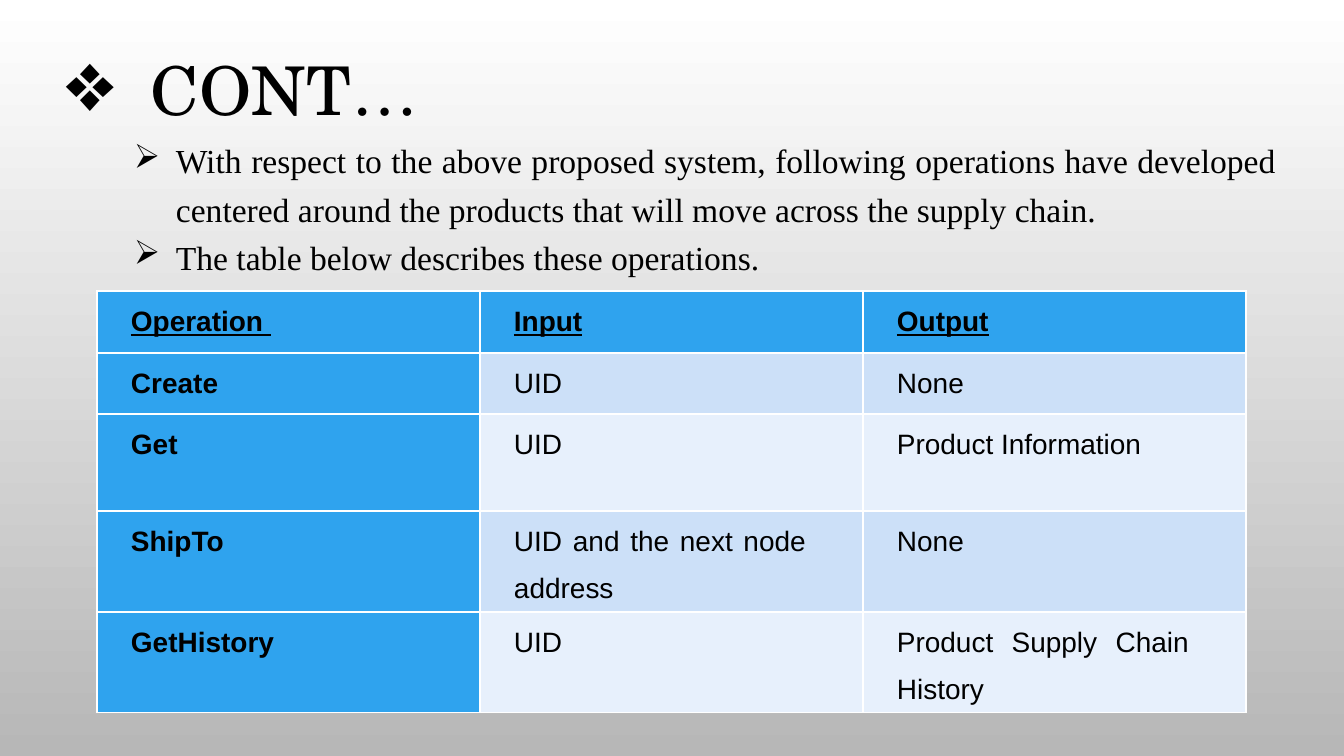
import dataclasses

import lxml.etree
import pptx
import pptx.dml.color
import pptx.enum.text
import pptx.oxml.ns
import pptx.util

SLIDE_W, SLIDE_H = 1344, 756
SCALE = 9144000 / SLIDE_W


@dataclasses.dataclass(frozen=True)
class Theme:
    """Colours, fonts and type sizes of the slide."""
    text: str = "000000"
    back_top: str = "FFFFFF"
    back_bottom: str = "B7B7B7"
    accent: str = "2FA3EE"
    bands: tuple = ("CCE0F8", "E7F0FC")
    title_font: str = "TeX Gyre Schola"
    body_font: str = "Times New Roman"
    table_font: str = "Arial"
    title_size: int = 36
    body_size: int = 18
    table_size: int = 15


THEME = Theme()
ROWS = [
    ("Operation ", "Input", "Output"),
    ("Create", "UID", "None"),
    ("Get", "UID", "Product Information"),
    ("ShipTo", "UID and the next node address", "None"),
    ("GetHistory", "UID", "Product Supply Chain History"),
]
ROW_HEIGHTS = [62, 61, 97, 97, 97]
COLUMN_WIDTH = 383


def px(n):
    """Convert px to EMU."""
    return pptx.util.Emu(round(n * SCALE))


def rgb(code):
    """Turn a hex code into a colour."""
    return pptx.dml.color.RGBColor.from_string(code)


def add_xml(parent, tag, **attributes):
    """Append a DrawingML element with the given attributes."""
    return lxml.etree.SubElement(parent, pptx.oxml.ns.qn(tag), attributes)


def set_background(s):
    """Fill the slide with a vertical gradient."""
    fill = s.background.fill
    fill.gradient()
    fill.gradient_angle = 270
    for stop, color in zip(fill.gradient_stops, (THEME.back_top, THEME.back_bottom)):
        stop.color.rgb = rgb(color)


def format_paragraph(p, font, size, spacing, justify=True, bold=False, underline=False):
    """Set the spacing, alignment and font of a paragraph."""
    p.line_spacing = spacing
    align = pptx.enum.text.PP_ALIGN
    p.alignment = align.JUSTIFY if justify else align.LEFT
    for r in p.runs:
        r.font.name = font
        r.font.size = pptx.util.Pt(size)
        r.font.color.rgb = rgb(THEME.text)
        r.font.bold = bold
        r.font.underline = underline


def set_bullet(p, char, margin, hanging, percent=100):
    """Give a paragraph a bullet with a hanging indent."""
    p_pr = p._p.get_or_add_pPr()
    p_pr.set("marL", str(px(margin)))
    p_pr.set("indent", str(px(-hanging)))
    add_xml(add_xml(p_pr, "a:buClr"), "a:srgbClr", val=THEME.text)
    add_xml(p_pr, "a:buSzPct", val=str(percent * 1000))
    add_xml(p_pr, "a:buChar", char=char)


def add_text(s, box, lines, anchor):
    """Add a wrapping text box without insets and return its paragraphs."""
    tf = s.shapes.add_textbox(*map(px, box)).text_frame
    tf.word_wrap = True
    tf.vertical_anchor = anchor
    tf.margin_left = tf.margin_top = tf.margin_right = tf.margin_bottom = 0
    tf.text = "\n".join(lines)
    return tf.paragraphs


def add_title(s):
    """Add the bulleted title."""
    anchor = pptx.enum.text.MSO_ANCHOR.MIDDLE
    for p in add_text(s, (67, 31, 1210, 126), ["CONT…"], anchor):
        format_paragraph(p, THEME.title_font, THEME.title_size, 0.9, justify=False)
        set_bullet(p, "❖", 84, 84, 125)


def add_body(s):
    """Add the bulleted introduction to the table."""
    lines = [
        "With respect to the above proposed system, following operations have developed "
        "centered around the products that will move across the supply chain.",
        "The table below describes these operations.",
    ]
    anchor = pptx.enum.text.MSO_ANCHOR.TOP
    for p in add_text(s, (67, 132, 1210, 146), lines, anchor):
        format_paragraph(p, THEME.body_font, THEME.body_size, 1.2)
        set_bullet(p, "➢", 109, 42)


def fill_cell(cell, text, row, column):
    """Write and format one table cell."""
    header = row == 0
    label = header or column == 0
    cell.fill.solid()
    cell.fill.fore_color.rgb = rgb(THEME.accent if label else THEME.bands[(row - 1) % 2])
    cell.margin_left, cell.margin_right = px(9), px(57)
    cell.margin_top = cell.margin_bottom = 0
    cell.text_frame.text = text
    p = cell.text_frame.paragraphs[0]
    format_paragraph(p, THEME.table_font, THEME.table_size, 1.5, bold=label, underline=header)
    p._p.get_or_add_pPr().set("marL", str(px(25)))


def add_operations_table(s):
    """Add the table of operations, ruled by the default table style."""
    columns = len(ROWS[0])
    size = (COLUMN_WIDTH * columns, sum(ROW_HEIGHTS))
    table = s.shapes.add_table(len(ROWS), columns, px(97), px(291), *map(px, size)).table
    for column in table.columns:
        column.width = px(COLUMN_WIDTH)
    for i, (texts, height) in enumerate(zip(ROWS, ROW_HEIGHTS)):
        table.rows[i].height = px(height)
        for j, text in enumerate(texts):
            fill_cell(table.cell(i, j), text, i, j)


def main():
    """Build and save the slide."""
    prs = pptx.Presentation()
    prs.slide_width, prs.slide_height = px(SLIDE_W), px(SLIDE_H)
    s = prs.slides.add_slide(prs.slide_layouts[6])
    set_background(s)
    add_title(s)
    add_body(s)
    add_operations_table(s)
    prs.save("out.pptx")


if __name__ == "__main__":
    main()
